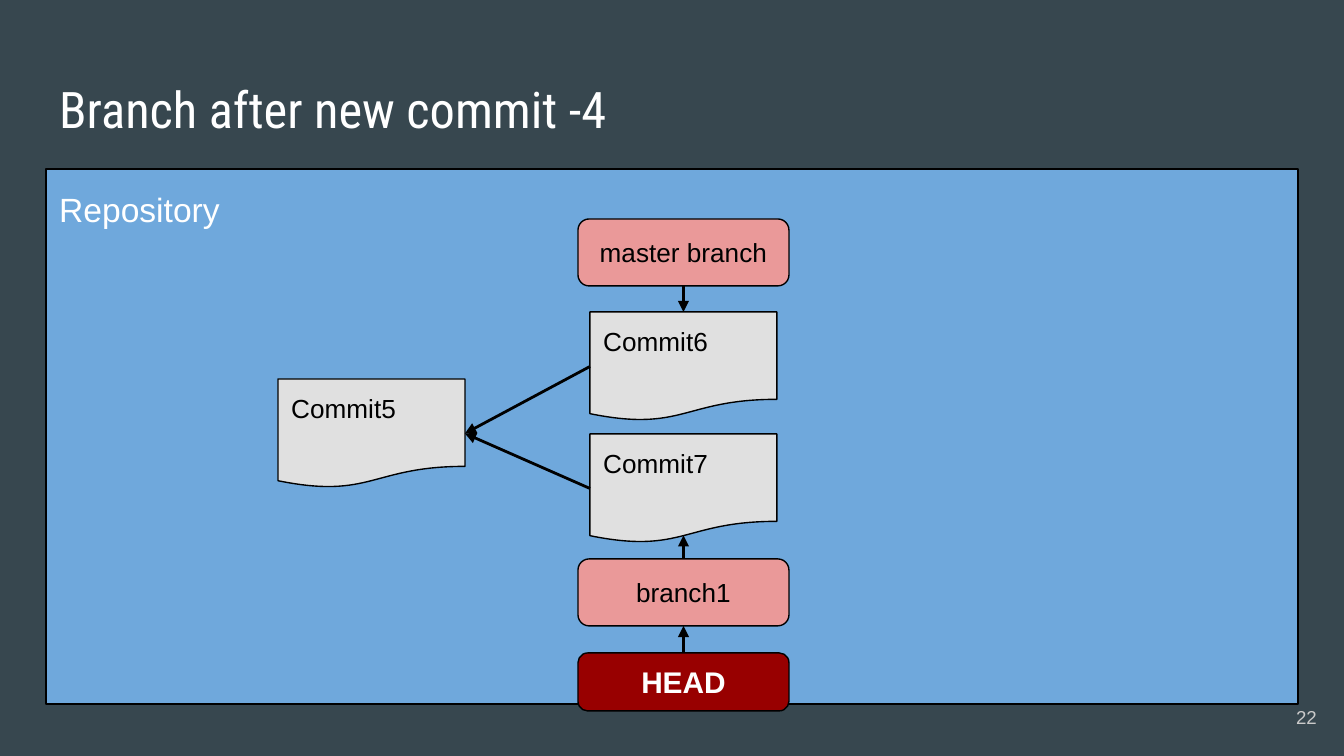
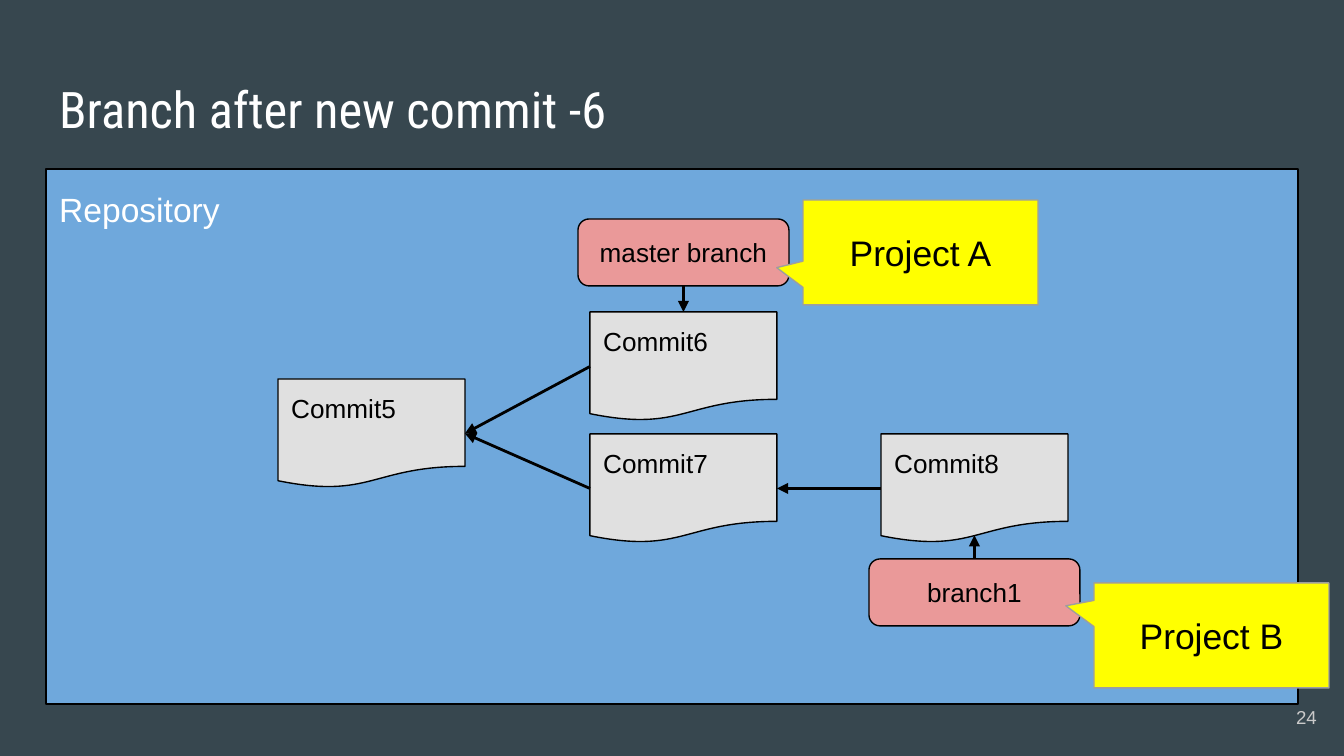
"""Build two slides showing how branches move after new commits."""
import pptx
import pptx.dml.color
import pptx.enum.shapes
import pptx.enum.text
import pptx.oxml
import pptx.oxml.ns
import pptx.util

EMU_PER_PX = 914400 / 134.4
SHAPE = pptx.enum.shapes.MSO_SHAPE
ALIGN = pptx.enum.text.PP_ALIGN
ANCHOR = pptx.enum.text.MSO_ANCHOR
TOP, LEFT, BOTTOM, RIGHT = range(4)
DOCUMENT_BOTTOM = 0.93

COLORS = {
    "background": "37474F", "panel": "6FA8DC", "commit": "E0E0E0",
    "branch": "EA9999", "head": "980000", "callout": "FFFF00",
    "callout_line": "9E9E9E", "number": "CACACA", "white": "FFFFFF",
    "black": "000000",
}
COLORS = {name: pptx.dml.color.RGBColor.from_string(value) for name, value in COLORS.items()}

MARGINS = dict.fromkeys(
    ["margin_left", "margin_right", "margin_top", "margin_bottom"], pptx.util.Inches(0.1))
TOP_LEFT = {"anchor": ANCHOR.TOP, "align": ALIGN.LEFT}
CENTERED = {"anchor": ANCHOR.MIDDLE, "align": ALIGN.CENTER}
STYLES = {
    "title": {"size": 27, "font": "Roboto Condensed", "color": "white",
              "anchor": ANCHOR.MIDDLE, "align": ALIGN.LEFT},
    "number": {"size": 10, "color": "number", "anchor": ANCHOR.MIDDLE, "align": ALIGN.RIGHT},
    "panel": {"shape": SHAPE.RECTANGLE, "fill": "panel", "size": 18, "color": "white",
              "paragraph": {"line_spacing": 1.15, "space_after": pptx.util.Pt(12)}, **TOP_LEFT},
    "commit": {"shape": SHAPE.FLOWCHART_DOCUMENT, "fill": "commit", "size": 14, **TOP_LEFT},
    "branch": {"shape": SHAPE.ROUNDED_RECTANGLE, "fill": "branch", "size": 14,
               "adjustments": [0.167], **CENTERED},
    "head": {"shape": SHAPE.ROUNDED_RECTANGLE, "fill": "head", "size": 16, "color": "white",
             "bold": True, "adjustments": [0.167], **CENTERED},
    "callout": {"shape": SHAPE.ROUNDED_RECTANGULAR_CALLOUT, "fill": "callout",
                "line": "callout_line", "size": 19, **CENTERED},
}

COMMIT_WIDTH, COMMIT_HEIGHT = 187, 109
BRANCH_WIDTH, BRANCH_HEIGHT = 211, 67
CENTERS = [371, 683, 974]
SLIDES = [
    {
        "title": "Branch after new commit -4", "number": "22", "branch_column": 1,
        "commits": {"Commit5": (0, 379), "Commit6": (1, 312), "Commit7": (1, 434)},
        "branch_commit": "Commit7", "head": True, "callouts": [],
        "parents": [("Commit6", "Commit5"), ("Commit7", "Commit5")],
    },
    {
        "title": "Branch after new commit -6", "number": "24", "branch_column": 2,
        "commits": {"Commit5": (0, 379), "Commit6": (1, 312), "Commit7": (1, 434),
                    "Commit8": (2, 434)},
        "branch_commit": "Commit8", "head": False,
        "callouts": [("Project A", 803, 200, [-0.612, 0.145, 0]),
                     ("Project B", 1094, 583, [-0.62, -0.282, 0])],
        "parents": [("Commit6", "Commit5"), ("Commit7", "Commit5"), ("Commit8", "Commit7")],
    },
]


def add_box(slide, style_name, text, *bounds, adjustments=()):
    style = STYLES[style_name]
    bounds = [round(value * EMU_PER_PX) for value in bounds]
    if "shape" in style:
        shape = slide.shapes.add_shape(style["shape"], *bounds)
        shape.shadow.inherit = False
        shape.fill.solid()
        shape.fill.fore_color.rgb = COLORS[style["fill"]]
        shape.line.color.rgb = COLORS[style.get("line", "black")]
        shape.line.width = pptx.util.Pt(0.75)
        for index, value in enumerate(adjustments or style.get("adjustments", [])):
            shape.adjustments[index] = value
    else:
        shape = slide.shapes.add_textbox(*bounds)
    frame = shape.text_frame
    paragraph = frame.paragraphs[0]
    run = paragraph.add_run()
    run.text = text
    formats = [
        (frame, {"word_wrap": True, "vertical_anchor": style["anchor"], **MARGINS}),
        (paragraph, {"alignment": style["align"], **style.get("paragraph", {})}),
        (run.font, {"name": style.get("font", "Arial"), "size": pptx.util.Pt(style["size"]),
                    "bold": style.get("bold", False)}),
    ]
    for target, values in formats:
        for name, value in values.items():
            setattr(target, name, value)
    run.font.color.rgb = COLORS[style.get("color", "black")]
    return shape


def add_arrow(slide, source, source_site, target, target_site):
    connector = slide.shapes.add_connector(
        pptx.enum.shapes.MSO_CONNECTOR.STRAIGHT, 0, 0, 0, 0)
    connector.begin_connect(source, source_site)
    connector.end_connect(target, target_site)
    connector.line.color.rgb = COLORS["black"]
    connector.line.width = pptx.util.Pt(1.5)
    line = connector.line._get_or_add_ln()
    arrowhead = pptx.oxml.parse_xml(
        f'<a:tailEnd {pptx.oxml.ns.nsdecls("a")} type="triangle"/>')
    line.append(arrowhead)
    effects = pptx.oxml.parse_xml(f'<a:effectLst {pptx.oxml.ns.nsdecls("a")}/>')
    line.addnext(effects)
    return connector


presentation = pptx.Presentation()
presentation.slide_width = round(1344 * EMU_PER_PX)
presentation.slide_height = round(756 * EMU_PER_PX)

for content in SLIDES:
    slide = presentation.slides.add_slide(presentation.slide_layouts[6])
    slide.background.fill.solid()
    slide.background.fill.fore_color.rgb = COLORS["background"]
    add_box(slide, "panel", "Repository", 46, 169, 1252, 535)
    add_box(slide, "title", content["title"], 46, 66, 1252, 85)
    add_box(slide, "number", content["number"], 1249, 688, 81, 58)

    commits = {}
    for name, (column, top) in content["commits"].items():
        left = CENTERS[column] - COMMIT_WIDTH // 2
        commits[name] = add_box(slide, "commit", name, left, top, COMMIT_WIDTH, COMMIT_HEIGHT)
    for child, parent in content["parents"]:
        add_arrow(slide, commits[child], LEFT, commits[parent], RIGHT)

    master_left = CENTERS[1] - BRANCH_WIDTH // 2
    master = add_box(slide, "branch", "master branch",
                     master_left, 219, BRANCH_WIDTH, BRANCH_HEIGHT)
    add_arrow(slide, master, BOTTOM, commits["Commit6"], TOP)

    branch_left = CENTERS[content["branch_column"]] - BRANCH_WIDTH // 2
    branch = add_box(slide, "branch", "branch1", branch_left, 559, BRANCH_WIDTH, BRANCH_HEIGHT)
    commit = commits[content["branch_commit"]]
    pointer = add_arrow(slide, branch, TOP, commit, BOTTOM)
    pointer.end_y = commit.top + round(commit.height * DOCUMENT_BOTTOM)

    if content["head"]:
        head = add_box(slide, "head", "HEAD", branch_left, 653, BRANCH_WIDTH, 58)
        add_arrow(slide, head, TOP, branch, BOTTOM)
    for text, left, top, adjustments in content["callouts"]:
        add_box(slide, "callout", text, left, top, 235, 105, adjustments=adjustments)

presentation.save("out.pptx")
